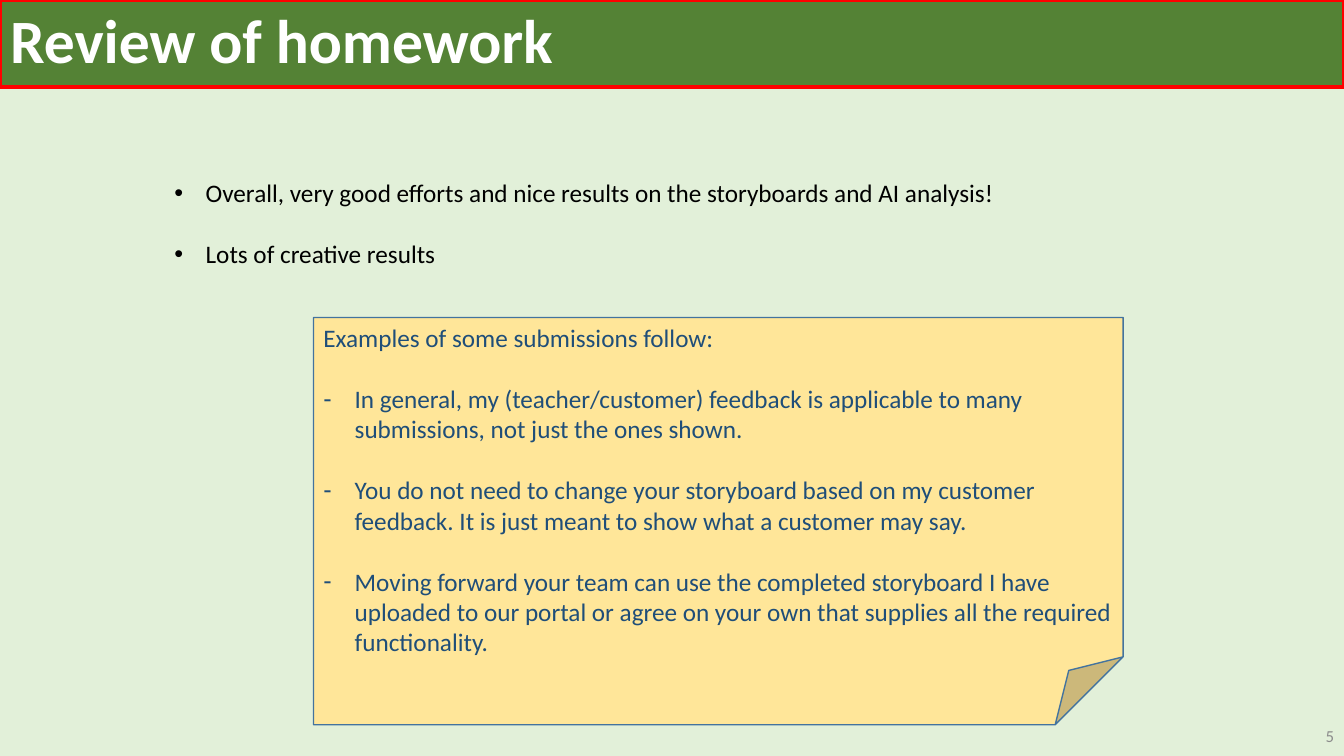
from dataclasses import dataclass

from lxml import etree
from pptx import Presentation
from pptx import util as u
from pptx.dml.color import RGBColor
from pptx.enum import shapes, text
from pptx.oxml.ns import qn


@dataclass(frozen=True)
class Theme:
    font: str = "Calibri"
    background: str = "E2F0D9"
    banner: str = "548235"
    banner_line: str = "FF0000"
    banner_text: str = "FFFFFF"
    body_text: str = "000000"
    note: str = "FFE699"
    note_line: str = "43739E"
    note_text: str = "1F4E79"
    number_text: str = "8C8C8C"
    title_size: int = 44
    body_size: int = 18
    number_size: int = 12
    paragraph_gap: int = 22
    indent: float = 0.31


def write(paragraph, words, *, font, size, color, bold=False, bullet=None,
          indent=0, before=0, spacing=1, align=text.PP_ALIGN.LEFT):
    properties = paragraph._p.get_or_add_pPr()
    hanging = u.Inches(indent) if bullet else 0
    properties.set("marL", str(hanging))
    properties.set("indent", str(-hanging))
    if bullet:
        etree.SubElement(properties, qn("a:buFont")).set("typeface", "Arial")
        etree.SubElement(properties, qn("a:buChar")).set("char", bullet)
    else:
        etree.SubElement(properties, qn("a:buNone"))
    paragraph.alignment = align
    paragraph.line_spacing = spacing
    paragraph.space_before = u.Pt(before)
    run = paragraph.add_run()
    run.text = words
    run.font.name = font
    run.font.size = u.Pt(size)
    run.font.bold = bold
    run.font.color.rgb = RGBColor.from_string(color)


class SlideBuilder:
    def __init__(self, slide, theme):
        self.slide = slide
        self.theme = theme
        slide.background.fill.solid()
        slide.background.fill.fore_color.rgb = RGBColor.from_string(theme.background)

    def place(self, shape, left, top, width, height):
        shape.left, shape.top = u.Inches(left), u.Inches(top)
        shape.width, shape.height = u.Inches(width), u.Inches(height)

    def paint(self, shape, fill, line, weight):
        shape.fill.solid()
        shape.fill.fore_color.rgb = RGBColor.from_string(fill)
        shape.line.color.rgb = RGBColor.from_string(line)
        shape.line.width = u.Pt(weight)

    def fill_text(self, shape, entries, size, color, anchor=text.MSO_ANCHOR.TOP, **style):
        frame = shape.text_frame
        frame.word_wrap = True
        frame.auto_size = text.MSO_AUTO_SIZE.NONE
        frame.vertical_anchor = anchor
        for position, (words, bullet) in enumerate(entries):
            paragraph = frame.add_paragraph() if position else frame.paragraphs[0]
            write(paragraph, words, font=self.theme.font, size=size, color=color,
                  bullet=bullet, indent=self.theme.indent,
                  before=self.theme.paragraph_gap if position else 0, **style)

    def title(self, words, *box):
        banner = self.slide.shapes.title
        self.place(banner, *box)
        self.paint(banner, self.theme.banner, self.theme.banner_line, 3)
        self.fill_text(banner, [(words, None)], self.theme.title_size,
                       self.theme.banner_text, text.MSO_ANCHOR.MIDDLE,
                       bold=True, spacing=0.9)

    def bullets(self, points, *box):
        body = self.slide.placeholders[1]
        self.place(body, *box)
        self.fill_text(body, [(point, "•") for point in points],
                       self.theme.body_size, self.theme.body_text)

    def note(self, heading, points, *box):
        note = self.slide.shapes.add_shape(
            shapes.MSO_SHAPE.FOLDED_CORNER, *map(u.Inches, box))
        note.shadow.inherit = False
        self.paint(note, self.theme.note, self.theme.note_line, 1)
        self.fill_text(note, [(heading, None)] + [(point, "-") for point in points],
                       self.theme.body_size, self.theme.note_text)

    def number(self, words, *box):
        number = self.slide.shapes.add_textbox(*map(u.Inches, box))
        self.fill_text(number, [(words, None)], self.theme.number_size,
                       self.theme.number_text, text.MSO_ANCHOR.MIDDLE,
                       align=text.PP_ALIGN.RIGHT)


def main():
    deck = Presentation()
    deck.slide_width, deck.slide_height = u.Inches(13.33), u.Inches(7.5)
    review = SlideBuilder(deck.slides.add_slide(deck.slide_layouts[1]), Theme())
    review.title("Review of homework", 0, 0, 13.33, 0.86)
    review.number("5", 10.33, 7.1, 3, 0.4)
    review.bullets([
        "Overall, very good efforts and nice results on the storyboards and AI analysis!",
        "Lots of creative results",
    ], 1.63, 1.71, 10.02, 1.31)
    review.note("Examples of some submissions follow:", [
        "In general, my (teacher/customer) feedback is applicable to many "
        "submissions, not just the ones shown.",
        "You do not need to change your storyboard based on my customer "
        "feedback. It is just meant to show what a customer may say.",
        "Moving forward your team can use the completed storyboard I have "
        "uploaded to our portal or agree on your own that supplies all the "
        "required functionality.",
    ], 3.11, 3.15, 8.03, 4.04)
    deck.save("out.pptx")


if __name__ == "__main__":
    main()
